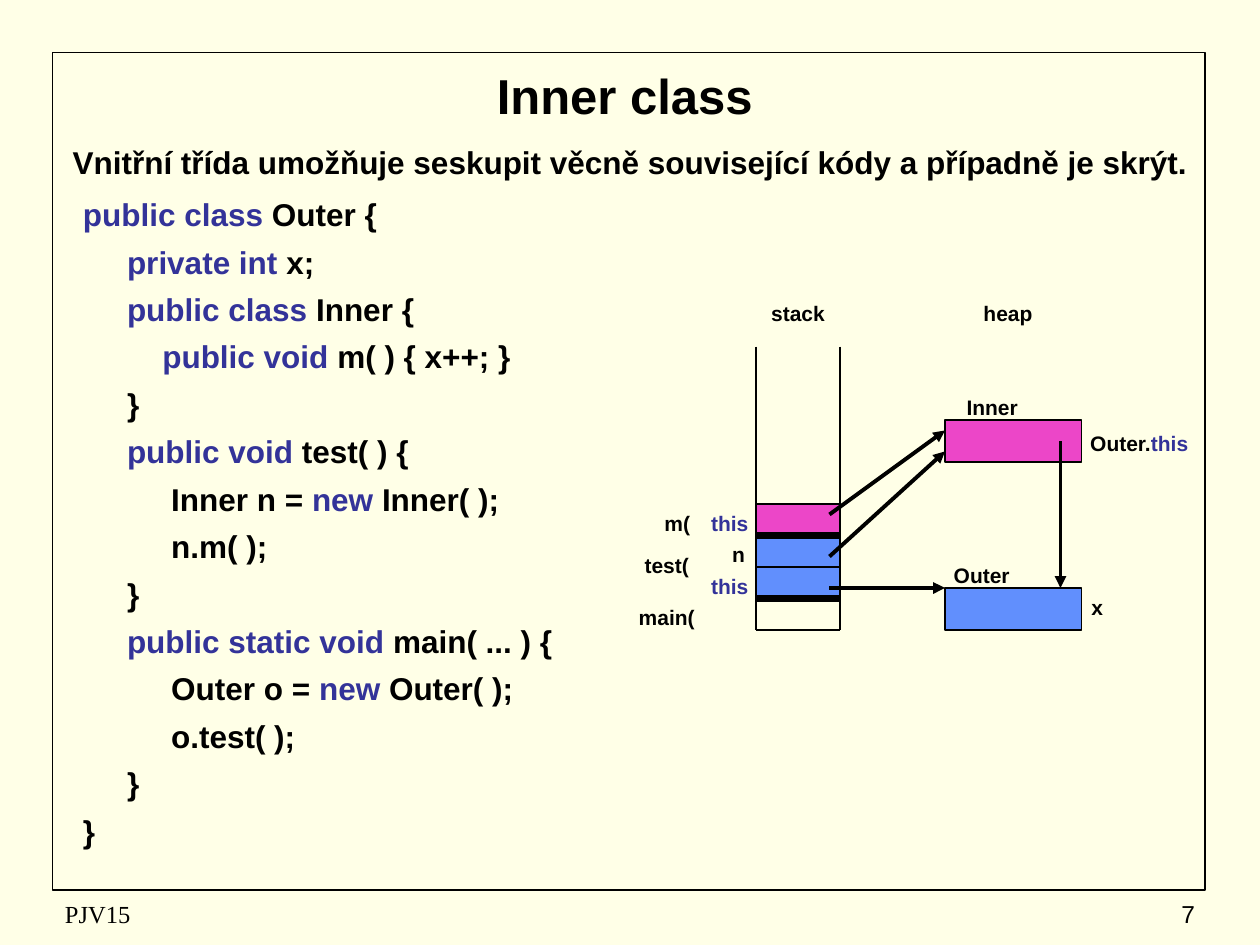
from lxml.etree import SubElement
from pptx import Presentation
from pptx.dml.color import RGBColor
from pptx.enum.shapes import MSO_CONNECTOR, MSO_SHAPE
from pptx.enum.text import MSO_ANCHOR as ANCHOR, MSO_AUTO_SIZE as FIT, PP_ALIGN as ALIGN
from pptx.oxml.ns import qn
from pptx.util import Inches, Pt

COLORS = {"paper": "FFFFE7", "ink": "000000", "keyword": "333399",
          "inner": "EC46C8", "outer": "618FFD"}
UNIT = Inches(1) / 12  # the slide is a grid of 120 columns by 90 rows
SPACE = 0.07           # width of one code space, in inches
LABEL_H = 3.6
CELL = 3               # rows in one stack cell

# Keywords stand between bars; the number is the indent in spaces.
CODE = [
    (0, "|public class| Outer {"),
    (5, "|private int| x;"),
    (5, "|public class| Inner {"),
    (9, "|public void| m( ) { x++; }"),
    (5, "}"),
    (5, "|public void| test( ) {"),
    (10, "Inner n = |new| Inner( );"),
    (10, "n.m( );"),
    (5, "}"),
    (5, "|public static void| main( ... ) {"),
    (10, "Outer o = |new| Outer( );"),
    (10, "o.test( );"),
    (5, "}"),
    (0, "}"),
]


def color(name):
    return RGBColor.from_string(COLORS[name])


def grid(*cells):
    return [round(c * UNIT) for c in cells]


def place(sp, box):
    sp.left, sp.top, sp.width, sp.height = grid(*box)


def write(p, text, size, align, bold=True, font="Arial", indent=0):
    """Fill a paragraph, colouring the parts between bars as keywords."""
    p.alignment = align
    pPr = p._p.get_or_add_pPr()
    pPr.set("marL", str(Inches(indent)))
    pPr.set("indent", "0")
    SubElement(pPr, qn("a:buNone"))
    for i, part in enumerate(text.split("|")):
        if part:
            r = p.add_run()
            r.text = part
            r.font.name, r.font.size, r.font.bold = font, Pt(size), bold
            r.font.color.rgb = color("keyword" if i % 2 else "ink")


def text_box(s, box, anchor=ANCHOR.TOP, fit=FIT.NONE):
    tf = s.shapes.add_textbox(*grid(*box)).text_frame
    tf.word_wrap, tf.auto_size, tf.vertical_anchor = True, fit, anchor
    return tf


def label(s, x, y, w, text, indent=0):
    tf = text_box(s, (x, y, w, LABEL_H), fit=FIT.SHAPE_TO_FIT_TEXT)
    write(tf.paragraphs[0], text, 12, ALIGN.CENTER, indent=indent)


def rect(s, box, fill=None, width=0.75):
    sp = s.shapes.add_shape(MSO_SHAPE.RECTANGLE, *grid(*box))
    sp.shadow.inherit = False
    if fill:
        sp.fill.solid()
        sp.fill.fore_color.rgb = color(fill)
    else:
        sp.fill.background()
    sp.line.color.rgb = color("ink")
    sp.line.width = Pt(width)


def line(s, start, end, width=0.75, arrow=False):
    c = s.shapes.add_connector(MSO_CONNECTOR.STRAIGHT, *grid(*start, *end))
    c.line.color.rgb = color("ink")
    c.line.width = Pt(width)
    if arrow:
        SubElement(c.line._get_or_add_ln(), qn("a:tailEnd"), type="triangle")
    SubElement(c._element.spPr, qn("a:effectLst"))


def heading(s, title_box, body_box):
    title, body = s.shapes.title, s.placeholders[1]
    for sp, box, anchor, text, size, align, indent in (
            (title, title_box, ANCHOR.MIDDLE, "Inner class", 28, ALIGN.CENTER, 0),
            (body, body_box, ANCHOR.TOP,
             "Vnitřní třída umožňuje seskupit věcně související kódy "
             "a případně je skrýt.", 18, ALIGN.JUSTIFY, 0.06)):
        place(sp, box)
        tf = sp.text_frame
        tf.word_wrap, tf.auto_size, tf.vertical_anchor = True, FIT.NONE, anchor
        write(tf.paragraphs[0], text, size, align, indent=indent)


def code_listing(s, box):
    tf = text_box(s, box)
    for i, (spaces, text) in enumerate(CODE):
        p = tf.add_paragraph() if i else tf.paragraphs[0]
        p.space_before = Pt(5.5)
        write(p, text, 18, ALIGN.JUSTIFY, indent=0.06 + spaces * SPACE)


def stack(s, box):
    """Open-topped column with four cells at its foot, and their names."""
    x, y, w, h = box
    right, bottom = x + w, y + h
    rect(s, (x, bottom - 3 * CELL, w, 2 * CELL), "outer")
    rect(s, (x, bottom - 4 * CELL, w, CELL), "inner")
    for edge in (x, right):
        line(s, (edge, y), (edge, bottom))
    for k in range(5):
        level = bottom - k * CELL
        line(s, (x, level), (right, level), 4.5 if k % 2 else 0.75)
    label(s, x, y - 5, w, "stack")
    for dx, up, call in ((13, 3, "main("), (13, 8, "test("), (12, 12, "m(")):
        label(s, x - dx, bottom - up, 9, call)
    for k, name, indent in ((2, "|this|", 0), (3, "n", 0.14), (4, "|this|", 0)):
        label(s, x - 7, bottom - k * CELL, 9, name, indent)


def heap(s, box):
    """Inner object at the top of the box, Outer object at its foot."""
    x, y, w, h = box
    size = 4
    foot = y + h - size
    label(s, x + 2, y - 12, 8, "heap")
    rect(s, (x, y, w, size), "inner")
    rect(s, (x, foot, w, size), "outer")
    label(s, x - 1, y - 3, 11, "Inner")
    label(s, x - 1, foot - 3, 9, "Outer")
    label(s, x + w - 2, y + 0.4, 15, "Outer.|this|")
    label(s, x + w - 3, foot, 9, "x")
    line(s, (x + w - 2, y + 2), (x + w - 2, foot), 2.25, arrow=True)


def references(s, stack_box, heap_box):
    """Arrows from the stack cells to the objects on the heap."""
    x = stack_box[0] + stack_box[2] - 1
    bottom = stack_box[1] + stack_box[3]
    hx, hy = heap_box[:2]
    for up, down in ((4, 16), (7, 3), (11, 1)):
        line(s, (x, bottom - up), (hx, hy + down), 2.25, arrow=True)


def footer(s, box):
    x, y, w, h = box
    for left, width, text, font, align in (
            (x, 38, "PJV15", "Times New Roman", ALIGN.LEFT),
            (x + w - 25, 25, "7", "Arial", ALIGN.RIGHT)):
        tf = text_box(s, (left, y, width, h), ANCHOR.MIDDLE)
        write(tf.paragraphs[0], text, 14, align, bold=False, font=font)


def main():
    prs = Presentation()
    prs.slide_width, prs.slide_height = grid(120, 90)
    s = prs.slides.add_slide(prs.slide_layouts[1])
    s.background.fill.solid()
    s.background.fill.fore_color.rgb = color("paper")

    stack_box, heap_box = (72, 33, 8, 27), (90, 40, 13, 20)
    rect(s, (5, 5, 109.8, 79.8), width=1)
    heading(s, (6, 5, 107, 8), (5, 13, 110, 7))
    code_listing(s, (6, 18, 50, 67))
    stack(s, stack_box)
    heap(s, heap_box)
    references(s, stack_box, heap_box)
    footer(s, (5, 85, 110, 4))
    prs.save("out.pptx")


if __name__ == "__main__":
    main()
